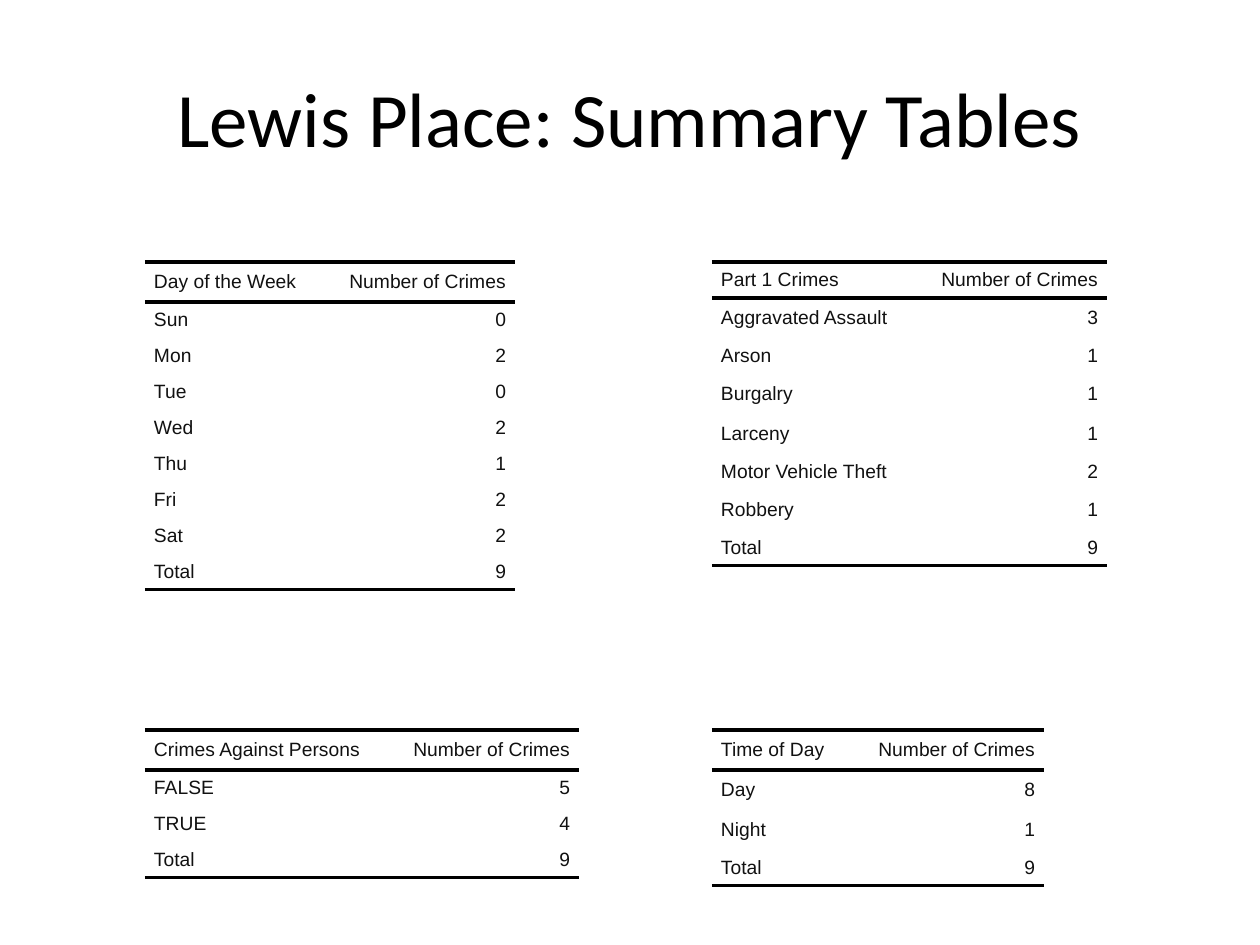
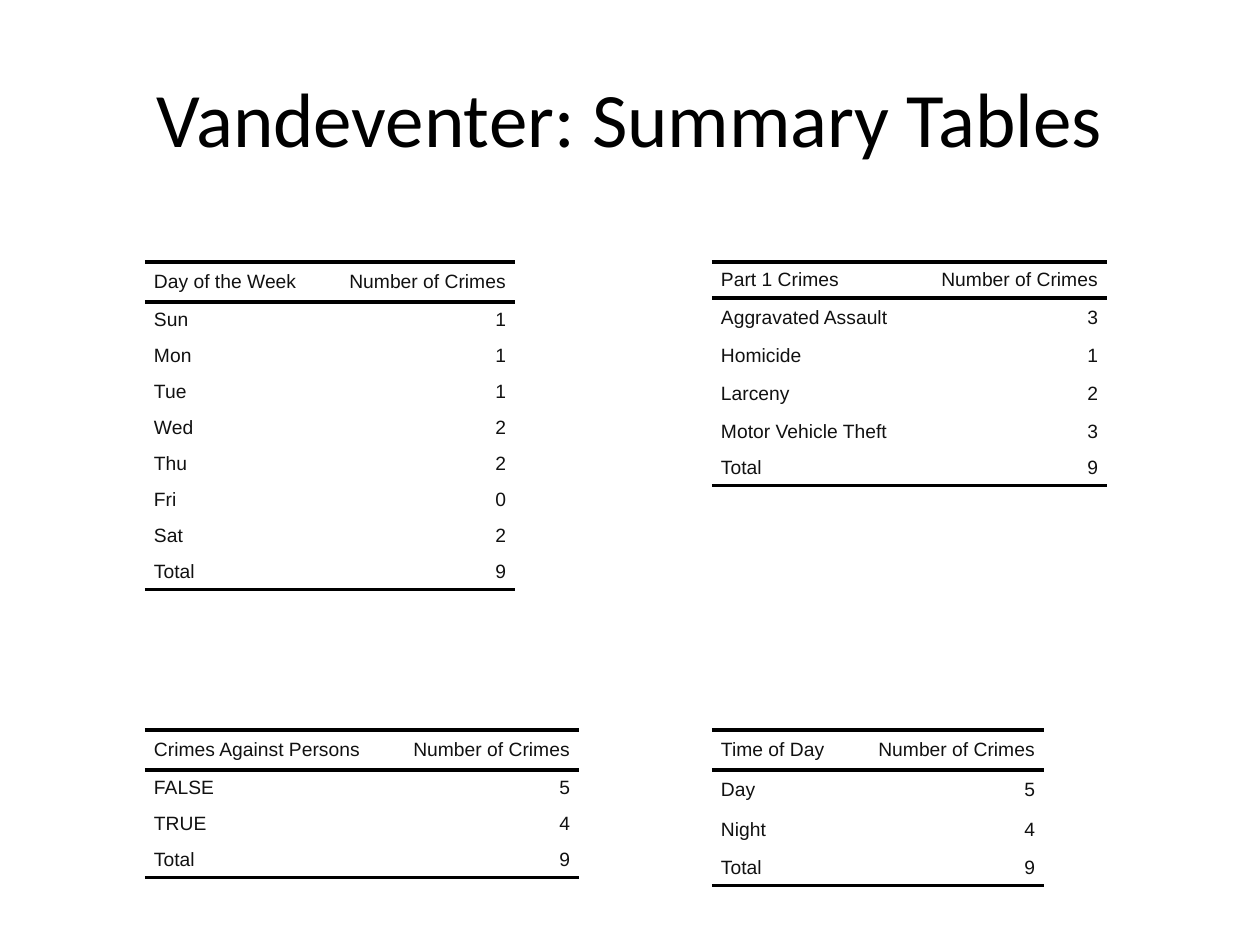
from dataclasses import dataclass

from lxml import etree
from pptx import Presentation
from pptx.dml.color import RGBColor
from pptx.enum.text import MSO_ANCHOR, PP_ALIGN
from pptx.oxml.ns import qn
from pptx.util import Pt

MIDDLE = MSO_ANCHOR.MIDDLE
LEFT, CENTER, RIGHT = PP_ALIGN.LEFT, PP_ALIGN.CENTER, PP_ALIGN.RIGHT
SCALE = 914400 / 126
PLAIN = "{2D5ABB26-0587-4C30-8999-92F81FD0307C}"


@dataclass(frozen=True)
class Theme:
    """Colours, fonts and sizes shared by the slides."""
    ink: str = "000000"
    text: str = "111111"
    head: str = "Calibri"
    body: str = "Arial"
    big: int = 44
    small: int = 11
    rule: int = 2


THEME = Theme()
COUNT = "Number of Crimes"
COUNT_W = 192
PAD = 9
LEFT_X, RIGHT_X = 145, 712
TOP_Y, LOW_Y = 262, 730
ROW_H = {"s": 36, "t": 40}
DAYS = ["Sun", "Mon", "Tue", "Wed", "Thu", "Fri", "Sat"]

PLACES = {
    "Lewis Place": {
        "part": {"Aggravated Assault": 3, "Arson": 1, "Burgalry": 1,
                 "Larceny": 1, "Motor Vehicle Theft": 2, "Robbery": 1},
        "rows": "ststtsts",
        "days": [0, 2, 0, 2, 1, 2, 2],
        "person": {"FALSE": 5, "TRUE": 4},
        "time": {"Day": 8, "Night": 1},
    },
    "Vandeventer": {
        "part": {"Aggravated Assault": 3, "Homicide": 1, "Larceny": 2,
                 "Motor Vehicle Theft": 3},
        "rows": "ststss",
        "days": [1, 1, 1, 2, 2, 0, 2],
        "person": {"FALSE": 5, "TRUE": 4},
        "time": {"Day": 5, "Night": 4},
    },
}


def px(size):
    """Turn px into EMU."""
    return round(size * SCALE)


def put(item, form):
    """Set each attribute that the dict names."""
    for name, value in form.items():
        setattr(item, name, value)


def style(para, face, size, color, align):
    """Format a paragraph."""
    para.alignment = align
    put(para.font, {"name": face, "size": Pt(size)})
    para.font.color.rgb = RGBColor.from_string(color)


def add_title(slide, text):
    """Fill and place the title."""
    title = slide.shapes.title
    put(title, {"left": px(63), "top": px(38),
                "width": px(1134), "height": px(158)})
    frame = title.text_frame
    put(frame, {"text": text, "vertical_anchor": MIDDLE, "word_wrap": True})
    style(frame.paragraphs[0], THEME.head, THEME.big, THEME.ink, CENTER)


def add_rule(cell, side):
    """Draw a border on one side of a cell."""
    props = cell._tc.get_or_add_tcPr()
    line = etree.SubElement(props, qn("a:" + side), w=str(Pt(THEME.rule)))
    fill = etree.SubElement(line, qn("a:solidFill"))
    etree.SubElement(fill, qn("a:srgbClr"), val=THEME.ink)


def fill_cell(cell, text, align, sides):
    """Write and format one cell."""
    put(cell, {"text": str(text), "vertical_anchor": MIDDLE,
               "margin_left": px(PAD), "margin_right": px(PAD),
               "margin_top": 0, "margin_bottom": 0})
    for side in sides:
        add_rule(cell, side)
    cell.fill.background()
    style(cell.text_frame.paragraphs[0],
          THEME.body, THEME.small, THEME.text, align)


def add_counts(slide, x, y, width, label, counts, kinds):
    """Add a table of counts with its total."""
    rows = [(label, COUNT), *counts.items(), ("Total", sum(counts.values()))]
    tall = [ROW_H[kind] for kind in kinds]
    frame = slide.shapes.add_table(len(rows), 2, px(x), px(y),
                                   px(width + COUNT_W), px(sum(tall)))
    table = frame.table
    put(table, {"first_row": False, "horz_banding": False})
    table._tbl.find(".//" + qn("a:tableStyleId")).text = PLAIN
    for col, wide in zip(table.columns, (width, COUNT_W)):
        col.width = px(wide)
    edges = {0: ("lnT", "lnB"), len(rows) - 1: ("lnB",)}
    for i, row in enumerate(rows):
        table.rows[i].height = px(tall[i])
        for j, align in enumerate((LEFT, RIGHT)):
            fill_cell(table.cell(i, j), row[j], align, edges.get(i, ()))


def add_place(deck, name, data):
    """Add the summary slide of one place."""
    slide = deck.slides.add_slide(deck.slide_layouts[5])
    add_title(slide, f"{name}: Summary Tables")
    add_counts(slide, RIGHT_X, TOP_Y, 203, "Part 1 Crimes",
               data["part"], data["rows"])
    add_counts(slide, LEFT_X, TOP_Y, 178, "Day of the Week",
               dict(zip(DAYS, data["days"])), "tssssssss")
    add_counts(slide, LEFT_X, LOW_Y, 242, "Crimes Against Persons",
               data["person"], "tsss")
    add_counts(slide, RIGHT_X, LOW_Y, 140, "Time of Day",
               data["time"], "ttts")


def main():
    """Build and save the deck."""
    deck = Presentation()
    put(deck, {"slide_width": px(1260), "slide_height": px(945)})
    for name, data in PLACES.items():
        add_place(deck, name, data)
    deck.save("out.pptx")


if __name__ == "__main__":
    main()
